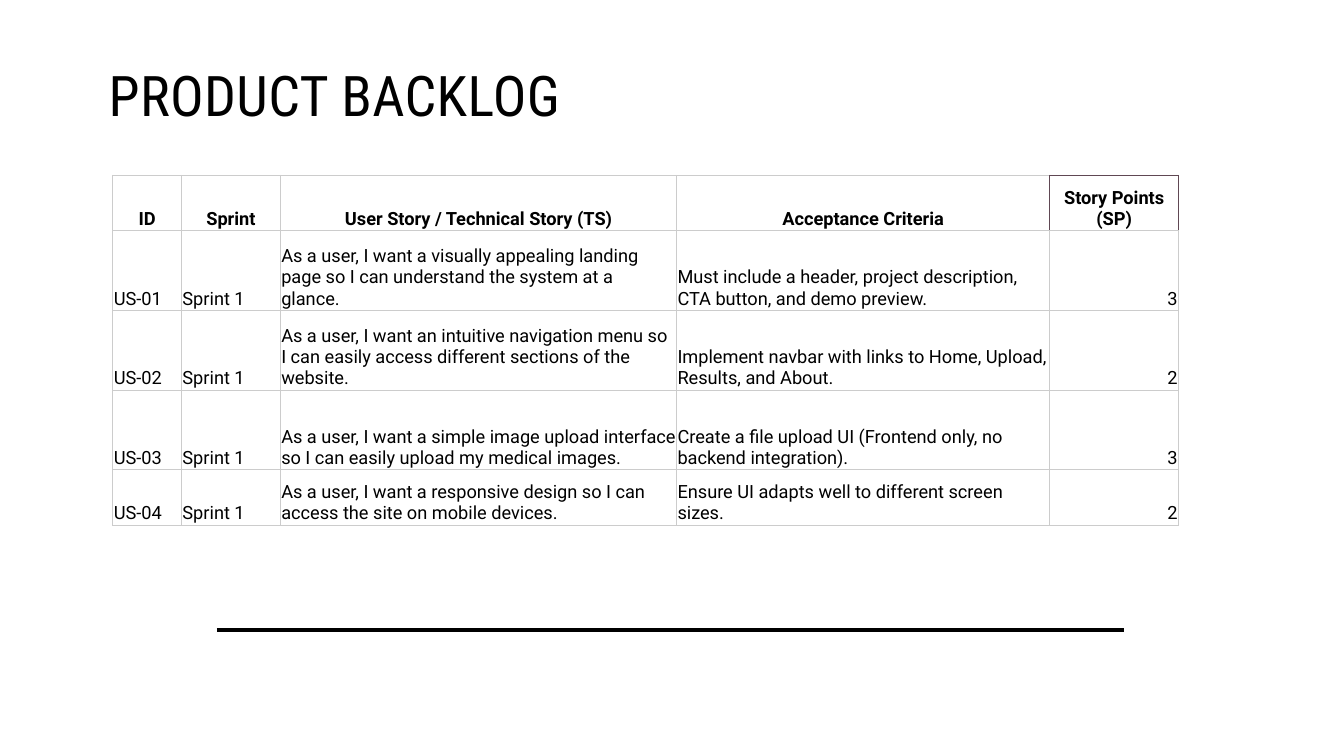
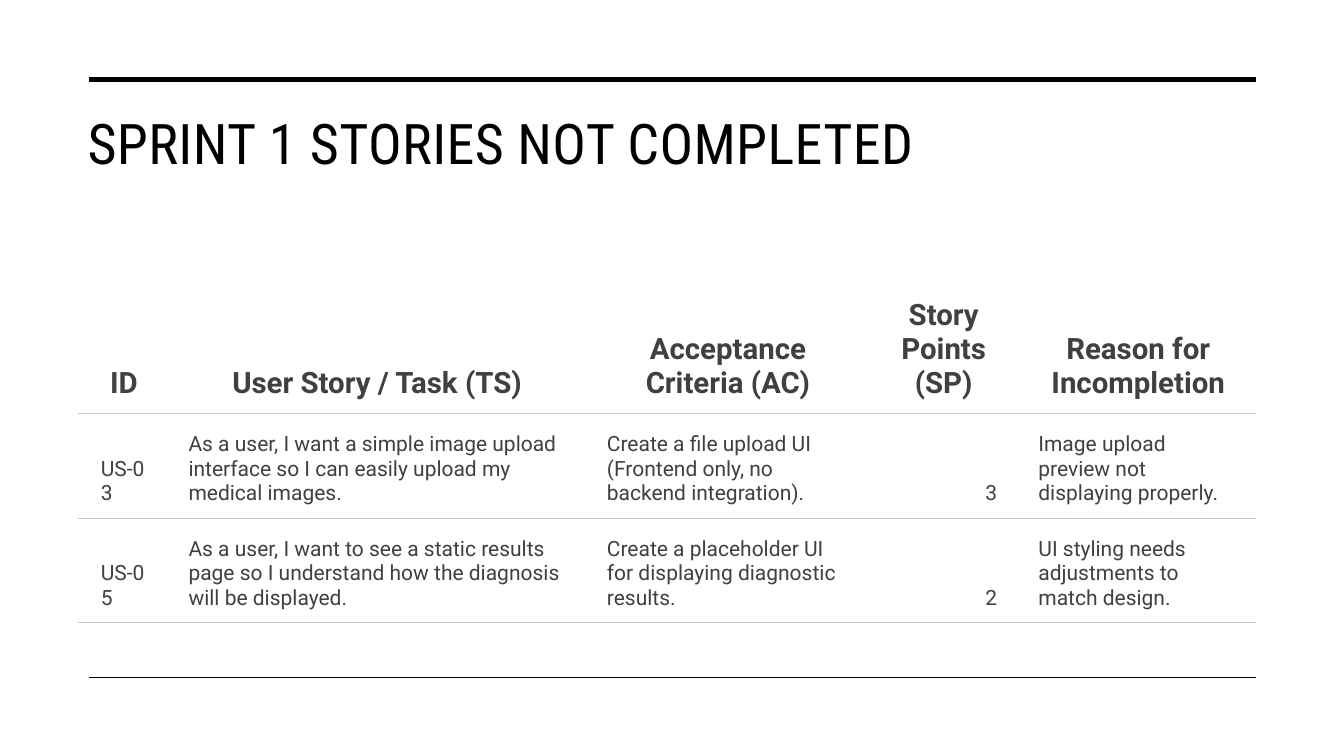
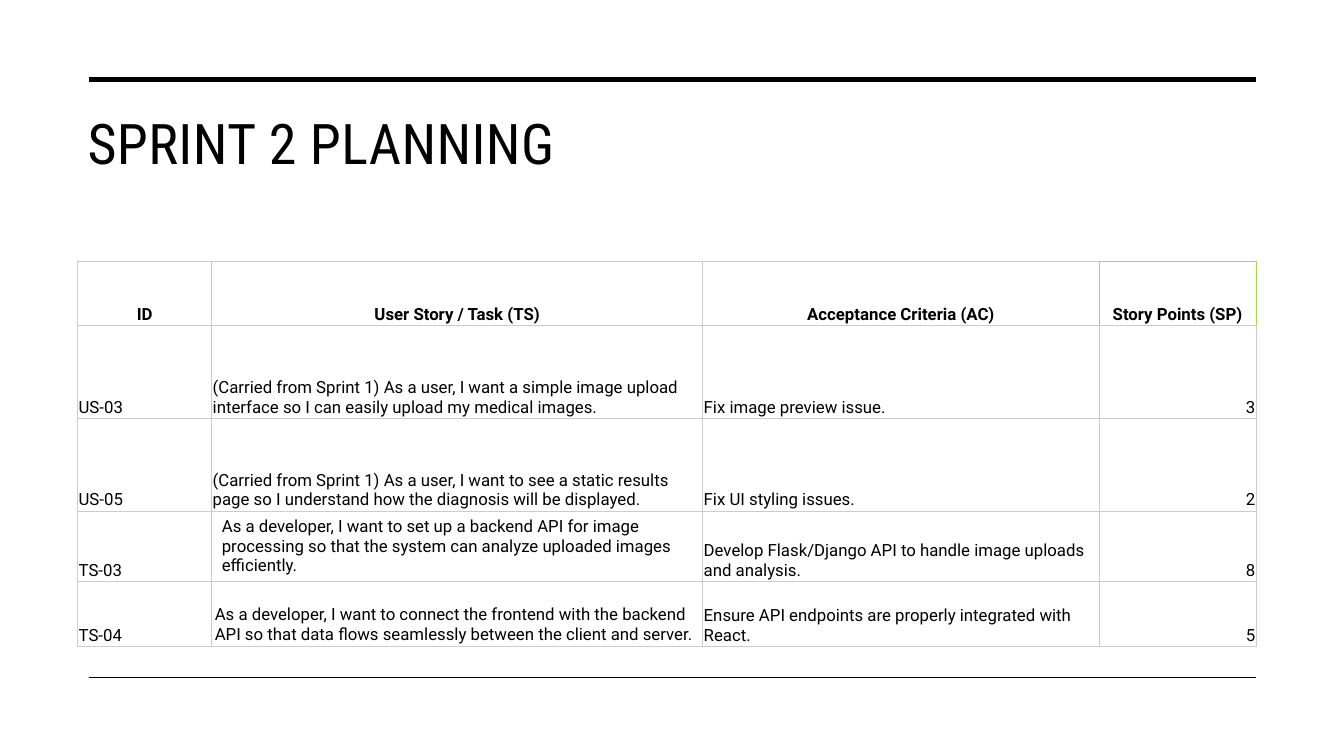
"""Build three backlog slides: product backlog, unfinished stories and sprint planning."""
from lxml import etree
from pptx import Presentation
from pptx.dml.color import RGBColor
from pptx.enum import shapes, text
from pptx.oxml import ns
from pptx.util import Inches, Pt

BLACK = RGBColor(0x00, 0x00, 0x00)
CHARCOAL = RGBColor(0x40, 0x40, 0x40)
GRID_GREY = RGBColor(0xCC, 0xCC, 0xCC)
WARM_GREY = RGBColor(0xC7, 0xC6, 0xC1)
PLUM = RGBColor(0x60, 0x48, 0x53)
LIME = RGBColor(0xA0, 0xDD, 0x3D)

TITLE_FONT = dict(name="Roboto Condensed", size=Pt(40), color=BLACK)
FRAME_RULES = [(0.88, 12.46, 0.79, 3.5), (0.88, 12.46, 6.72, 1)]
FRAME_TITLE = (0.77, 0.99, 11.69, 1.26)
TIGHT = (0.01, 0.01, 0.01, 0.01)
ROOMY = (0.23, 0.12, 0.18, 0.12)
ALL_SIDES = "LRTB"

UPLOAD = "As a user, I want a simple image upload interface so I can easily upload my medical images."
RESULTS = "As a user, I want to see a static results page so I understand how the diagnosis will be displayed."
UPLOAD_UI = "Create a file upload UI (Frontend only, no backend integration)."

SLIDES = [
    dict(
        title="PRODUCT BACKLOG", title_box=(0.98, 0.51, 6.52, 0.82),
        rules=[(2.15, 11.15, 6.25, 3.5)],
        table=dict(
            at=(1.12, 1.74), cols=[0.68, 0.98, 3.93, 3.7, 1.28],
            heights=[0.55, 0.79, 0.79, 0.79, 0.55], sizes=(13, 13), ink=BLACK,
            insets=TIGHT, line=GRID_GREY, head_sides=ALL_SIDES, body_sides=ALL_SIDES,
            accent=PLUM, special={},
            rows=[
                ("ID", "Sprint", "User Story / Technical Story (TS)", "Acceptance Criteria", "Story Points (SP)"),
                ("US-01", "Sprint 1",
                 "As a user, I want a visually appealing landing page so I can understand the system at a glance.",
                 "Must include a header, project description, CTA button, and demo preview.", "3"),
                ("US-02", "Sprint 1",
                 "As a user, I want an intuitive navigation menu so I can easily access different sections "
                 "of the website.",
                 "Implement navbar with links to Home, Upload, Results, and About.", "2"),
                ("US-03", "Sprint 1", UPLOAD, UPLOAD_UI, "3"),
                ("US-04", "Sprint 1",
                 "As a user, I want a responsive design so I can access the site on mobile devices.",
                 "Ensure UI adapts well to different screen sizes.", "2"),
            ])),
    dict(
        title="SPRINT 1 STORIES NOT COMPLETED", title_box=FRAME_TITLE, rules=FRAME_RULES,
        table=dict(
            at=(0.77, 2.77), cols=[0.87, 4.15, 2.81, 1.47, 2.39],
            heights=[1.33, 1.04, 1.04], sizes=(21, 15), ink=CHARCOAL,
            insets=ROOMY, line=WARM_GREY, head_sides="B", body_sides="TB",
            accent=None, special={},
            rows=[
                ("ID", "User Story / Task (TS)", "Acceptance Criteria (AC)", "Story Points (SP)",
                 "Reason for Incompletion"),
                ("US-03", UPLOAD, UPLOAD_UI, "3", "Image upload preview not displaying properly."),
                ("US-05", RESULTS, "Create a placeholder UI for displaying diagnostic results.", "2",
                 "UI styling needs adjustments to match design."),
            ])),
    dict(
        title="SPRINT 2 PLANNING", title_box=FRAME_TITLE, rules=FRAME_RULES,
        table=dict(
            at=(0.77, 2.59), cols=[1.33, 4.87, 3.93, 1.56],
            heights=[0.64, 0.92, 0.92, 0.64, 0.64], sizes=(12, 12), ink=BLACK,
            insets=TIGHT, line=GRID_GREY, head_sides=ALL_SIDES, body_sides=ALL_SIDES,
            accent=LIME,
            special={(3, 1): ((0.1, 0.05, 0.1, 0.05), text.MSO_ANCHOR.MIDDLE),
                     (4, 1): ((0.03, 0.02, 0.03, 0.02), text.MSO_ANCHOR.BOTTOM)},
            rows=[
                ("ID", "User Story / Task (TS)", "Acceptance Criteria (AC)", "Story Points (SP)"),
                ("US-03", "(Carried from Sprint 1) " + UPLOAD, "Fix image preview issue.", "3"),
                ("US-05", "(Carried from Sprint 1) " + RESULTS, "Fix UI styling issues.", "2"),
                ("TS-03",
                 "As a developer, I want to set up a backend API for image processing so that the system "
                 "can analyze uploaded images efficiently.",
                 "Develop Flask/Django API to handle image uploads and analysis.", "8"),
                ("TS-04",
                 "As a developer, I want to connect the frontend with the backend API so that data flows "
                 "seamlessly between the client and server.",
                 "Ensure API endpoints are properly integrated with React.", "5"),
            ])),
]


def set_font(font, color, **values):
    for name, value in values.items():
        setattr(font, name, value)
    font.color.rgb = color


def set_insets(target, insets):
    for side, inset in zip(("left", "top", "right", "bottom"), insets):
        setattr(target, f"margin_{side}", Inches(inset))


def add_title(slide, words, box):
    tf = slide.shapes.add_textbox(*map(Inches, box)).text_frame
    tf.word_wrap = True
    set_insets(tf, (0.1, 0.09, 0.1, 0.05))
    r = tf.paragraphs[0].add_run()
    r.text = words
    set_font(r.font, **TITLE_FONT)
    r.font._element.set("spc", "30")


def add_rule(slide, left, right, y, weight):
    rule = slide.shapes.add_connector(
        shapes.MSO_CONNECTOR.STRAIGHT, Inches(left), Inches(y), Inches(right), Inches(y))
    rule.line.color.rgb = BLACK
    rule.line.width = Pt(weight)
    etree.SubElement(rule._element.spPr, ns.qn("a:effectLst"))


def set_borders(cell, colors):
    tc_pr = cell._tc.get_or_add_tcPr()
    for i, side in enumerate(ALL_SIDES):
        ln = etree.Element(ns.qn(f"a:ln{side}"), w=str(Pt(0.75)))
        if side in colors:
            fill = etree.SubElement(ln, ns.qn("a:solidFill"))
            etree.SubElement(fill, ns.qn("a:srgbClr"), val=str(colors[side]))
        else:
            etree.SubElement(ln, ns.qn("a:noFill"))
        tc_pr.insert(i, ln)


def border_colors(spec_row, col, table):
    sides = table["body_sides"] if spec_row else table["head_sides"]
    colors = dict.fromkeys(sides, table["line"])
    if table["accent"] and spec_row == 0:
        last = len(table["cols"]) - 1
        accented = {last: "LTR", last - 1: "R"}.get(col, "")
        colors.update(dict.fromkeys(accented, table["accent"]))
    return colors


def fill_cell(cell, words, row, col, table):
    insets, anchor = table["special"].get((row, col), (table["insets"], text.MSO_ANCHOR.BOTTOM))
    if row == 0 and table["accent"] and col == len(table["cols"]) - 1:
        insets = (0, 0.01, 0, 0.01)
    set_insets(cell, insets)
    cell.vertical_anchor = anchor
    cell.fill.background()
    set_borders(cell, border_colors(row, col, table))
    p = cell.text_frame.paragraphs[0]
    if row == 0:
        p.alignment = text.PP_ALIGN.CENTER
    elif words.isdigit():
        p.alignment = text.PP_ALIGN.RIGHT
    else:
        p.alignment = text.PP_ALIGN.LEFT
    r = p.add_run()
    r.text = words
    set_font(r.font, table["ink"], name="Roboto", size=Pt(table["sizes"][row > 0]), bold=row == 0)


def add_story_table(slide, table):
    rows, cols, heights = table["rows"], table["cols"], table["heights"]
    size = (sum(cols), sum(heights))
    grid = slide.shapes.add_table(len(rows), len(cols), *map(Inches, table["at"] + size)).table
    grid.first_row = grid.horz_banding = False
    for column, width in zip(grid.columns, cols):
        column.width = Inches(width)
    for i, (height, row) in enumerate(zip(heights, rows)):
        grid.rows[i].height = Inches(height)
        for j, words in enumerate(row):
            fill_cell(grid.cell(i, j), words, i, j, table)


def main():
    prs = Presentation()
    prs.slide_width, prs.slide_height = Inches(13.33), Inches(7.5)
    for content in SLIDES:
        slide = prs.slides.add_slide(prs.slide_layouts[6])
        for rule in content["rules"]:
            add_rule(slide, *rule)
        add_title(slide, content["title"], content["title_box"])
        add_story_table(slide, content["table"])
    prs.save("out.pptx")


if __name__ == "__main__":
    main()
